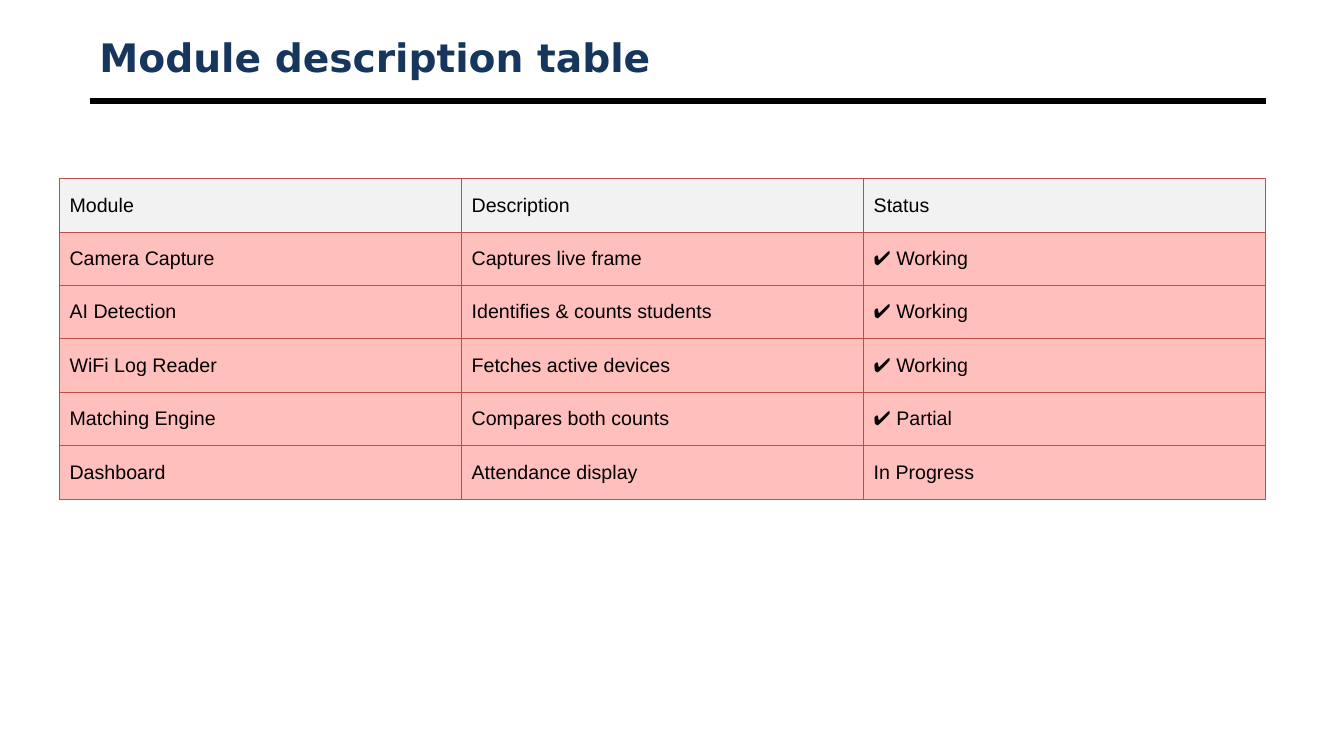
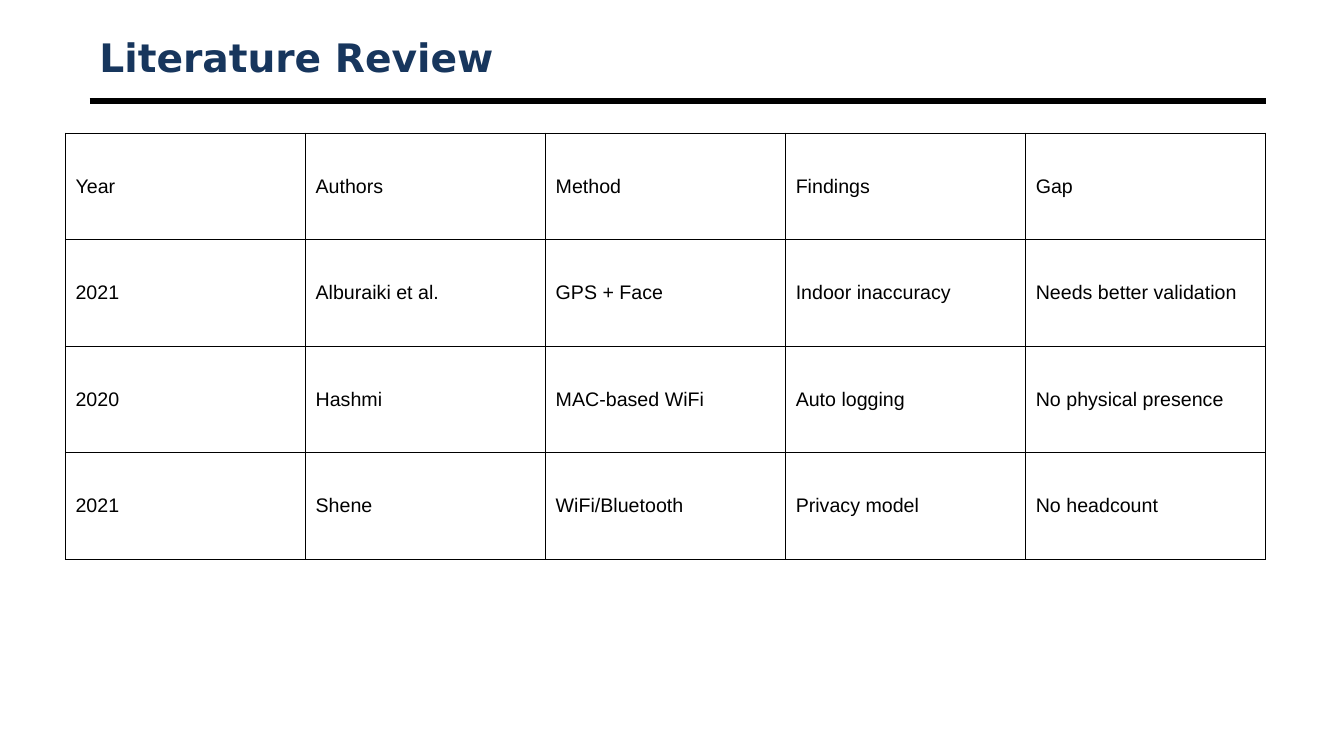
from lxml import etree
from pptx import Presentation
from pptx.dml.color import RGBColor
from pptx.enum.shapes import MSO_CONNECTOR
from pptx.enum.text import MSO_ANCHOR
from pptx.oxml.ns import qn
from pptx.util import Pt

LINE = MSO_CONNECTOR.STRAIGHT
MID = MSO_ANCHOR.MIDDLE

# Shared look
NAVY, BLACK, WHITE = "17365D", "000000", "FFFFFF"
GRAY, PINK, RED = "F2F2F2", "FFBFBD", "BF4C48"
LEFT, RIGHT = 64, 904.2
HEAD_FONT, BODY_FONT = "DejaVu Sans", "Arial"

# Table wording
MODULES = [
    ["Module", "Description", "Status"],
    ["Camera Capture", "Captures live frame", "✔ Working"],
    ["AI Detection", "Identifies & counts students", "✔ Working"],
    ["WiFi Log Reader", "Fetches active devices", "✔ Working"],
    ["Matching Engine", "Compares both counts", "✔ Partial"],
    ["Dashboard", "Attendance display", "In Progress"],
]
PAPERS = [
    ["Year", "Authors", "Method", "Findings", "Gap"],
    ["2021", "Alburaiki et al.", "GPS + Face", "Indoor inaccuracy",
     "Needs better validation"],
    ["2020", "Hashmi", "MAC-based WiFi", "Auto logging",
     "No physical presence"],
    ["2021", "Shene", "WiFi/Bluetooth", "Privacy model", "No headcount"],
]


def color(code):
    return RGBColor.from_string(code)


def add_run(para, text, size, font, code, bold=False):
    run = para.add_run()
    run.text = text
    run.font.size = Pt(size)
    run.font.name = font
    run.font.bold = bold
    run.font.color.rgb = color(code)


def add_rule(slide):
    rule = slide.shapes.add_connector(LINE, Pt(LEFT), Pt(72),
                                      Pt(RIGHT), Pt(72))
    rule.line.color.rgb = color(BLACK)
    rule.line.width = Pt(4.5)
    etree.SubElement(rule._element.spPr, qn("a:effectLst"))


def add_title(slide, text):
    box = slide.shapes.add_textbox(Pt(LEFT), Pt(21.6),
                                   Pt(RIGHT - LEFT), Pt(38.2))
    frame = box.text_frame
    frame.word_wrap = True
    frame.vertical_anchor = MID
    add_run(frame.paragraphs[0], text, 28, HEAD_FONT, NAVY, True)


def add_slide(deck, title):
    slide = deck.slides.add_slide(deck.slide_layouts[6])
    slide.background.fill.solid()
    slide.background.fill.fore_color.rgb = color(WHITE)
    add_rule(slide)
    add_title(slide, title)
    return slide


def set_edges(cell, code, width):
    props = cell._tc.get_or_add_tcPr()
    for spot, side in enumerate(("lnL", "lnR", "lnT", "lnB")):
        edge = etree.Element(qn("a:" + side), w=str(Pt(width)))
        fill = etree.SubElement(edge, qn("a:solidFill"))
        etree.SubElement(fill, qn("a:srgbClr"), val=code)
        props.insert(spot, edge)


def set_cell(cell, text, fill, edge, width):
    cell.fill.solid()
    cell.fill.fore_color.rgb = color(fill)
    set_edges(cell, edge, width)
    cell.vertical_anchor = MID
    add_run(cell.text_frame.paragraphs[0], text, 14, BODY_FONT, BLACK)


def add_grid(slide, data, left, top, tall, head, body, edge, width):
    """Draw equal columns from left to the shared right margin."""
    rows, cols = len(data), len(data[0])
    frame = slide.shapes.add_table(rows, cols, Pt(left), Pt(top),
                                   Pt(RIGHT - left), Pt(tall * rows))
    table = frame.table
    table.first_row = table.horz_banding = False
    for col in table.columns:
        col.width = Pt((RIGHT - left) / cols)
    for row, texts in enumerate(data):
        table.rows[row].height = Pt(tall)
        fill = body if row else head
        for col, text in enumerate(texts):
            set_cell(table.cell(row, col), text, fill, edge, width)


def main():
    deck = Presentation()
    deck.slide_width, deck.slide_height = Pt(960), Pt(540)

    # Module status
    slide = add_slide(deck, "Module description table")
    add_grid(slide, MODULES, 42.5, 127.5, 38.2, GRAY, PINK, RED, 0.75)

    # Earlier work
    slide = add_slide(deck, "Literature Review")
    add_grid(slide, PAPERS, 46.8, 95.2, 76.1, WHITE, WHITE, BLACK, 1)

    deck.save("out.pptx")


if __name__ == "__main__":
    main()
